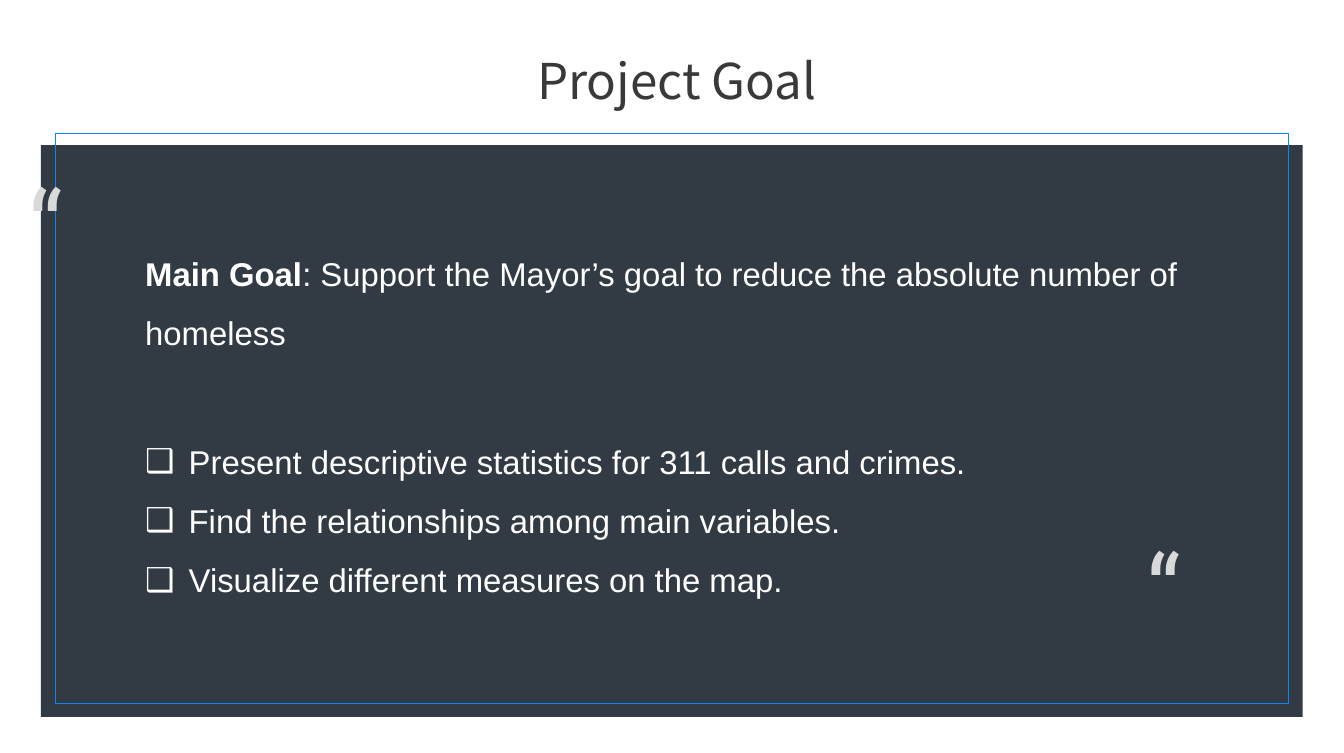
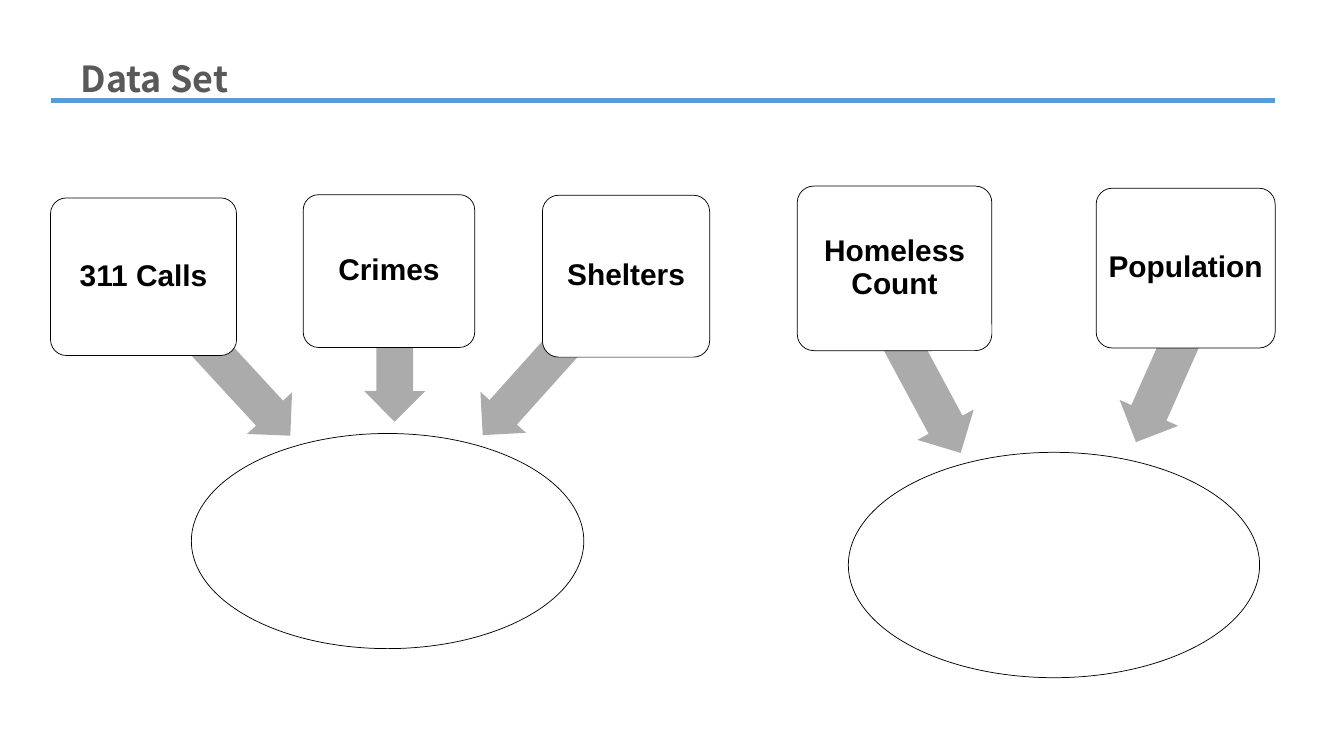
"""Build the project goal and data set slides."""
from dataclasses import dataclass
from math import atan2, degrees, hypot

from lxml.etree import SubElement
from pptx import Presentation
from pptx.dml.color import RGBColor as Rgb
from pptx.enum.shapes import MSO_CONNECTOR as Link, MSO_SHAPE as Kind
from pptx.enum.text import MSO_ANCHOR as Anchor, MSO_AUTO_SIZE as Fit, PP_ALIGN as Align
from pptx.oxml.ns import qn
from pptx.util import Inches, Pt


@dataclass(frozen=True)
class Theme:
    head: str = "Noto Sans CJK SC"
    text: str = "Arial"
    mark: str = "Roboto Condensed"
    dark: str = "323B43"
    frame: str = "0F85F1"
    rule: str = "5B9BD5"
    arrow: str = "ABABAB"
    quote: str = "D9D9D9"
    title: str = "3B3838"
    label: str = "595959"
    white: str = "FFFFFF"
    black: str = "000000"
    big: int = 66
    mid: int = 48
    body: int = 44
    small: int = 40
    huge: int = 138


T = Theme()

GOAL = ("Main Goal", ": Support the Mayor’s goal to reduce the absolute number of homeless")
STEPS = [
    "Present descriptive statistics for 311 calls and crimes.",
    "Find the relationships among main variables.",
    "Visualize different measures on the map.",
]
QUOTES = [(0.44, 2.97), (21.22, 9.73)]

GROUPS = [
    {"oval": (3.56, 8.06, 7.3, 4), "thick": 1.14, "boxes": [
        ("311 Calls", (0.94, 3.68, 3.46, 2.93), (2.67, 5.14), (5.4, 8.1)),
        ("Crimes", (5.64, 3.62, 3.19, 2.84), (7.35, 4.98), (7.34, 7.84)),
        ("Shelters", (10.09, 3.63, 3.11, 3.01), (11.64, 5.13), (8.98, 8.09)),
    ]},
    {"oval": (15.78, 8.41, 7.65, 4.19), "thick": 1.19, "boxes": [
        ("Homeless Count", (14.83, 3.46, 3.62, 3.06), (16.09, 5.11), (17.87, 8.42)),
        ("Population", (20.39, 3.5, 3.33, 2.97), (22.59, 4.93), (21.13, 8.22)),
    ]},
]


def inch(nums):
    return [Inches(n) for n in nums]


def style(para, font, size, color, bold=False):
    for run in para.runs:
        run.font.name, run.font.size, run.font.bold = font, Pt(size), bold
        run.font.color.rgb = Rgb.from_string(color)


def place(shape, area):
    shape.left, shape.top, shape.width, shape.height = inch(area)
    frame = shape.text_frame
    frame.auto_size, frame.vertical_anchor = Fit.NONE, Anchor.TOP
    frame.word_wrap = True
    return frame


def head(slide, text, area, size, color, align, bold=False):
    frame = place(slide.shapes.title, area)
    frame.text = text
    para = frame.paragraphs[0]
    para.alignment, para.line_spacing = align, 1.5
    style(para, T.head, size, color, bold)
    return frame


def draw(shapes, kind, area, fill=None, line=None):
    shape = shapes.add_shape(kind, *inch(area))
    shape.shadow.inherit = False
    if fill:
        shape.fill.solid()
        shape.fill.fore_color.rgb = Rgb.from_string(fill)
    else:
        shape.fill.background()
    if line:
        shape.line.color.rgb = Rgb.from_string(line)
        shape.line.width = Pt(1)
    else:
        shape.line.fill.background()
    return shape


def bullet(para, sign):
    props = para._p.get_or_add_pPr()
    props.set("marL", str(Inches(0.81)))
    props.set("indent", str(-Inches(0.81) if sign else 0))
    if sign:
        SubElement(props, qn("a:buChar")).set("char", sign)
    else:
        props.set("marL", "0")
        SubElement(props, qn("a:buNone"))


def goal(deck):
    slide = deck.slides.add_slide(deck.slide_layouts[1])
    shapes, body = slide.shapes, slide.placeholders[1]
    draw(shapes, Kind.RECTANGLE, (0.76, 2.7, 23.47, 10.63), fill=T.dark)
    draw(shapes, Kind.RECTANGLE, (1.03, 2.48, 22.94, 10.59), line=T.frame)
    body.element.getparent().append(body.element)
    frame = place(body, (2.6, 4.29, 20.81, 6.98))
    lead = frame.paragraphs[0]
    for text in GOAL:
        lead.add_run().text = text
    for text in STEPS:
        frame.add_paragraph().text = text
    for para in frame.paragraphs:
        bullet(para, "" if para is lead or para._p is lead._p else "❑")
        para.line_spacing, para.space_before = 1.5, Pt(0)
        style(para, T.text, T.body, T.white)
    lead.space_after = Pt(94)
    lead.runs[0].font.bold = True
    for spot in QUOTES:
        box = shapes.add_textbox(*inch((*spot, 2.44, 2.42))).text_frame
        box.word_wrap = True
        box.text = "“"
        style(box.paragraphs[0], T.mark, T.huge, T.quote)
    head(slide, "Project Goal", (9.71, 0.33, 5.58, 1.57),
         T.big, T.title, Align.RIGHT).word_wrap = False


def arrow(shapes, tail, tip, thick):
    run, drop = tip[0] - tail[0], tip[1] - tail[1]
    size = hypot(run, drop)
    left = (tail[0] + tip[0] - size) / 2
    top = (tail[1] + tip[1] - thick) / 2
    shape = draw(shapes, Kind.LEFT_ARROW, (left, top, size, thick), T.arrow)
    shape.adjustments[0], shape.adjustments[1] = 0.6, 0.5
    shape.rotation = degrees(atan2(drop, run)) + 180


def card(shapes, text, area):
    shape = draw(shapes, Kind.ROUNDED_RECTANGLE, area, T.white, T.black)
    shape.adjustments[0] = 0.1
    frame = shape.text_frame
    frame.word_wrap, frame.vertical_anchor = True, Anchor.MIDDLE
    frame.margin_left = frame.margin_right = Inches(0.08)
    frame.margin_top = frame.margin_bottom = Inches(0.08)
    frame.text = text
    para = frame.paragraphs[0]
    para.alignment, para.line_spacing = Align.CENTER, 0.9
    style(para, T.text, T.small, T.black, True)


def data(deck):
    slide = deck.slides.add_slide(deck.slide_layouts[5])
    head(slide, "Data Set", (1.4, 0.6, 10.74, 1.17), T.mid, T.label, Align.LEFT, True)
    rule = slide.shapes.add_connector(Link.STRAIGHT, *inch((0.94, 1.87, 23.72, 1.87)))
    rule.line.color.rgb, rule.line.width = Rgb.from_string(T.rule), Pt(6)
    SubElement(rule.element.spPr, qn("a:effectLst"))
    for group in GROUPS:
        shapes = slide.shapes.add_group_shape().shapes
        draw(shapes, Kind.OVAL, group["oval"], T.white, T.black)
        for text, area, tail, tip in group["boxes"]:
            arrow(shapes, tail, tip, group["thick"])
            card(shapes, text, area)


def main():
    deck = Presentation()
    deck.slide_width, deck.slide_height = inch((25, 14))
    goal(deck)
    data(deck)
    deck.save("out.pptx")


if __name__ == "__main__":
    main()
